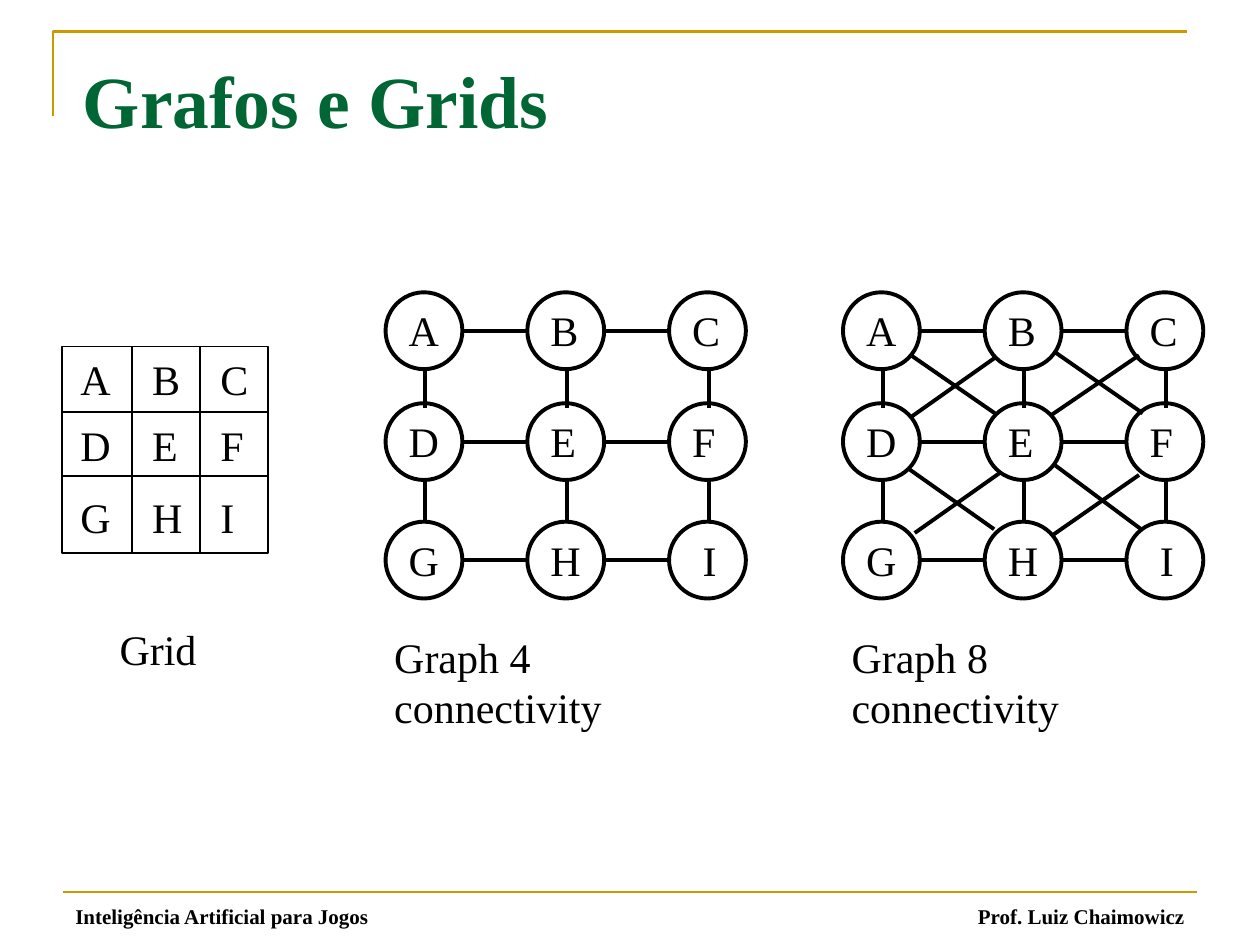
import lxml.etree
import pptx
import pptx.dml.color
import pptx.enum.shapes
import pptx.enum.text
import pptx.oxml.ns
import pptx.util

Inches = pptx.util.Inches
SHAPE = pptx.enum.shapes.MSO_SHAPE
ANCHOR = pptx.enum.text.MSO_ANCHOR
ALIGN = pptx.enum.text.PP_ALIGN
COLOURS = {"ink": "000000", "gold": "CC9900", "green": "006633"}


def write(shapes, text, place, size=24, bold=False, colour="ink", align=ALIGN.LEFT, frame_format=None):
    box = shapes.add_textbox(*map(Inches, place))
    fitted = {"word_wrap": False, "auto_size": pptx.enum.text.MSO_AUTO_SIZE.SHAPE_TO_FIT_TEXT}
    for name, value in (frame_format or fitted).items():
        setattr(box.text_frame, name, value)
    para = box.text_frame.paragraphs[0]
    para.alignment = align
    span = para.add_run()
    span.text = text
    font_format = {"name": "Times New Roman", "size": pptx.util.Pt(size), "bold": bold}
    for name, value in font_format.items():
        setattr(span.font, name, value)
    span.font.color.rgb = pptx.dml.color.RGBColor.from_string(COLOURS[colour])


def draw_line(ends, width, colour="ink"):
    line = page.shapes.add_connector(pptx.enum.shapes.MSO_CONNECTOR.STRAIGHT, *map(Inches, ends))
    line.line.width = pptx.util.Pt(width)
    line.line.color.rgb = pptx.dml.color.RGBColor.from_string(COLOURS[colour])
    properties = line._element.find(pptx.oxml.ns.qn("p:spPr"))
    lxml.etree.SubElement(properties, pptx.oxml.ns.qn("a:effectLst"))


deck = pptx.Presentation()
deck.slide_width = Inches(10)
deck.slide_height = Inches(7.5)
page = deck.slides.add_slide(deck.slide_layouts[6])
outlines = []

builder = page.shapes.build_freeform(Inches(0.42), Inches(0.92))
builder.add_line_segments([(Inches(0.42), Inches(0.25)), (Inches(9.42), Inches(0.25))], close=False)
outlines.append((builder.convert_to_shape(), "gold", 1.5))
draw_line((0.5, 7.08, 9.5, 7.08), 1.5, "gold")

footer = {"word_wrap": True, "vertical_anchor": ANCHOR.BOTTOM}
write(page.shapes, "Prof. Luiz Chaimowicz", (7.17, 7.17, 2.33, 0.25), 12, True, align=ALIGN.RIGHT, frame_format=footer)
write(page.shapes, "Inteligência Artificial para Jogos", (0.5, 7.17, 2.83, 0.25), 12, True, frame_format=footer)
heading = {"word_wrap": True, "vertical_anchor": ANCHOR.TOP, "margin_top": Inches(0.12)}
write(page.shapes, "Grafos e Grids", (0.56, 0.32, 5.8, 0.75), 42, True, "green", frame_format=heading)

letter_rows = ("ABC", "DEF", "GHI")
letter_widths = dict(zip("ABCDEFGHI", (0.44, 0.42, 0.42, 0.44, 0.4, 0.39, 0.44, 0.44, 0.31)))

border = page.shapes.add_shape(SHAPE.RECTANGLE, *map(Inches, (0.49, 2.75, 1.64, 1.64)))
outlines.append((border, "ink", 1))
for x in (1.05, 1.59):
    draw_line((x, 2.75, x, 4.4), 1)
for y in (3.27, 3.78):
    draw_line((0.49, y, 2.13, y), 1)
for top, letters in zip((2.76, 3.28, 3.85), letter_rows):
    for left, letter in zip((0.54, 1.11, 1.65), letters):
        write(page.shapes, letter, (left, top, letter_widths[letter], 0.5))

diameter = 0.61
column_gap = 1.125
node_tops = (2.32, 3.2, 4.14)
for graph_left in (3.06, 6.69):
    for top, letters in zip(node_tops, letter_rows):
        for column, letter in enumerate(letters):
            left = graph_left + column * column_gap
            node = page.shapes.add_group_shape()
            circle = node.shapes.add_shape(SHAPE.OVAL, *map(Inches, (left, top, diameter, diameter)))
            outlines.append((circle, "ink", 2.25))
            label, width = (" I", 0.4) if letter == "I" else (letter, letter_widths[letter])
            write(node.shapes, label, (left + 0.085, top + 0.05, width, 0.5))
        for column in range(2):
            start = graph_left + column * column_gap + diameter
            draw_line((start, top + 0.305, start + 0.52, top + 0.305), 2.25)
    for column in range(3):
        x = graph_left + column * column_gap + 0.315
        for bottom in (3.24, 4.15):
            draw_line((x, bottom, x, bottom - 0.33), 2.25)

diagonals = (
    (7.91, 3.29, 7.23, 2.82), (9.07, 4.21, 8.37, 3.69),
    (7.89, 4.2, 7.21, 3.72), (9.07, 3.28, 8.38, 2.8),
    (8.35, 3.29, 9.04, 2.82), (7.26, 4.23, 7.94, 3.75),
    (8.35, 4.25, 9.04, 3.77), (7.23, 3.31, 7.91, 2.83),
)
for ends in diagonals:
    draw_line(ends, 2.25)

for shape, colour, width in outlines:
    shape.shadow.inherit = False
    shape.fill.background()
    shape.line.width = pptx.util.Pt(width)
    shape.line.color.rgb = pptx.dml.color.RGBColor.from_string(COLOURS[colour])

write(page.shapes, "Grid", (0.85, 4.9, 0.81, 0.5))
for caption, left in (("Graph 4 connectivity", 3.03), ("Graph 8 connectivity", 6.66)):
    write(page.shapes, caption, (left, 4.96, 3.01, 0.5))

deck.save("out.pptx")
